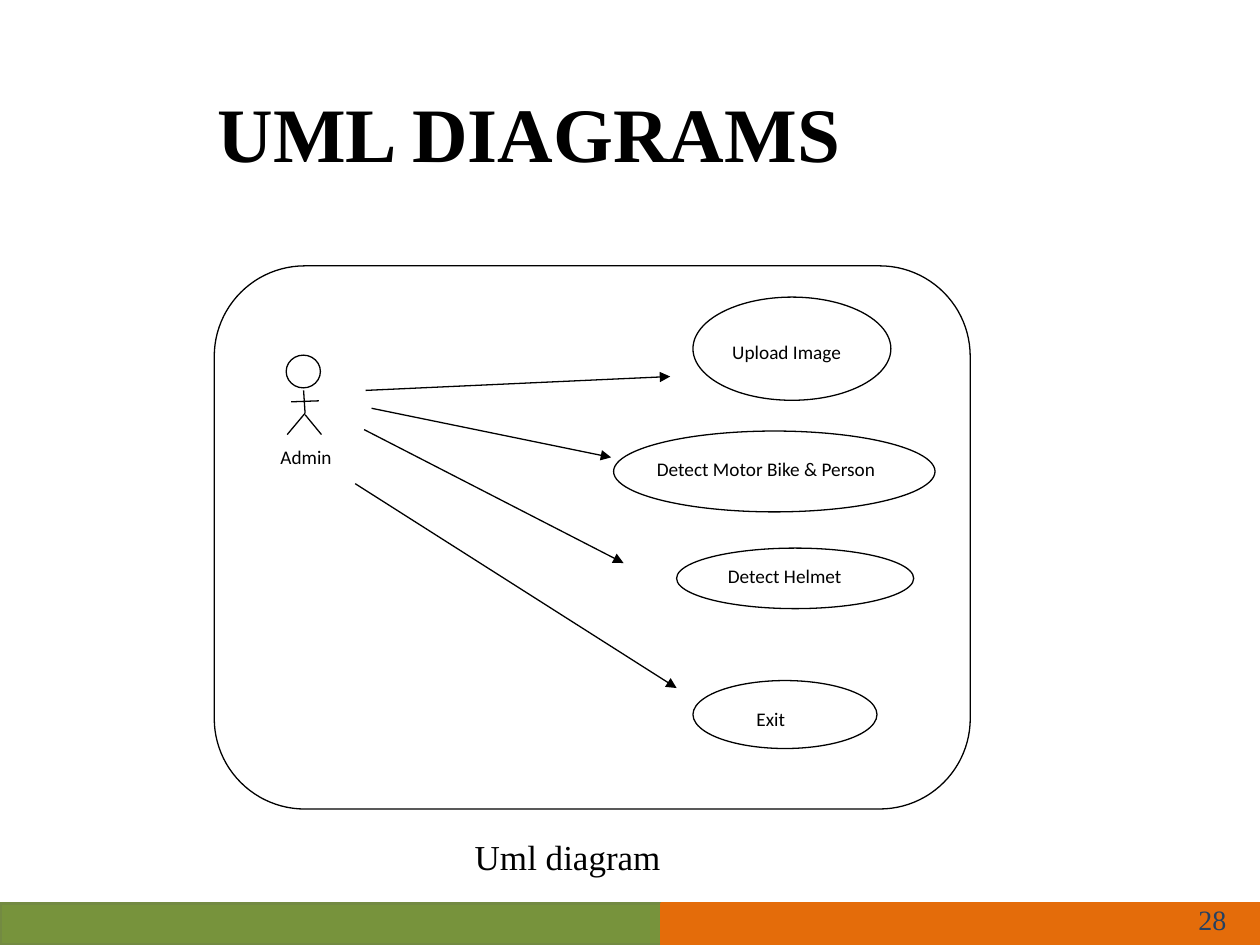
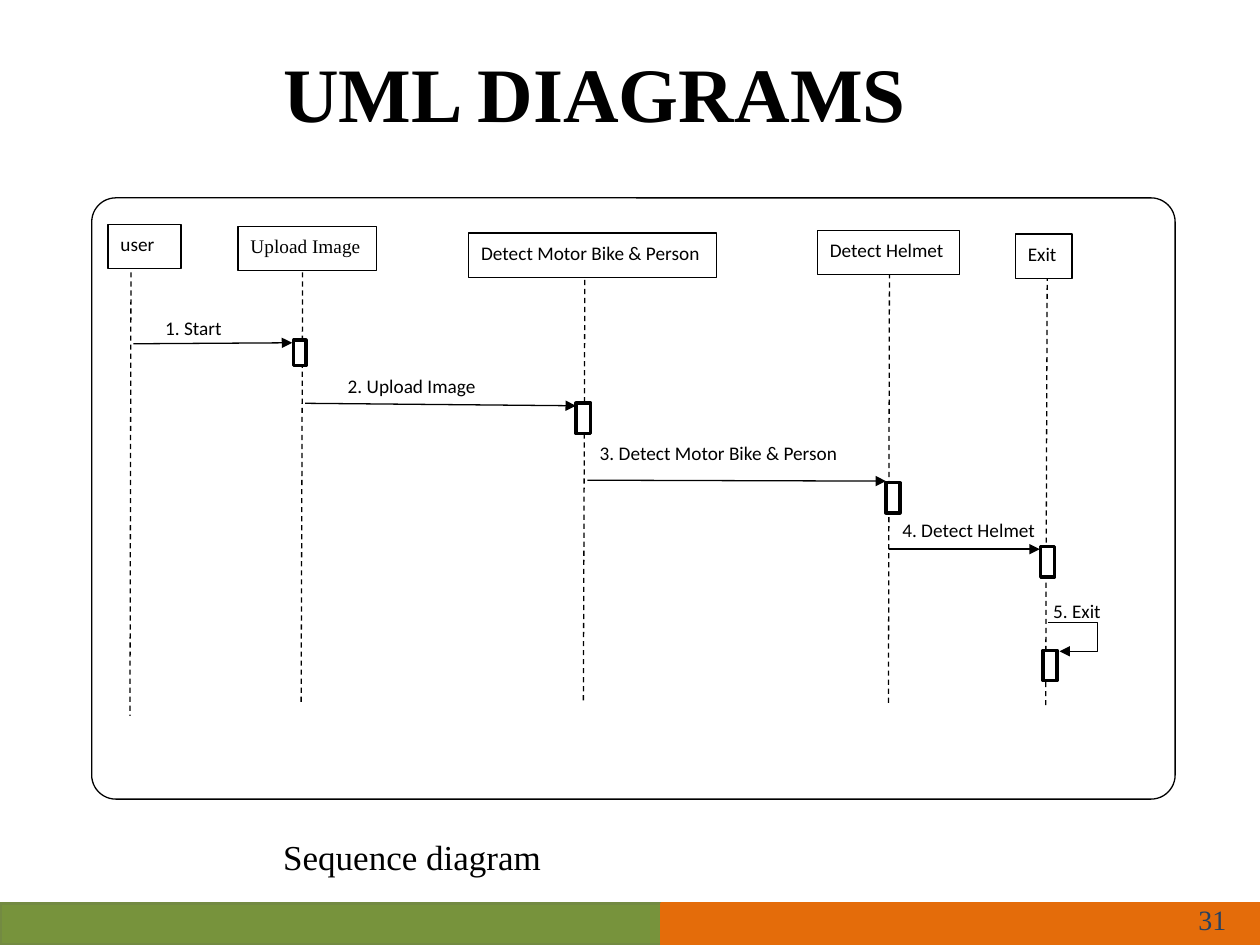
from typing import NamedTuple

from lxml.etree import SubElement
from pptx import Presentation
from pptx.dml.color import RGBColor
from pptx.enum.dml import MSO_LINE as Dash
from pptx.enum.shapes import MSO_CONNECTOR as Link, MSO_SHAPE as Form
from pptx.enum.text import MSO_ANCHOR as Anchor, PP_ALIGN as Align
from pptx.oxml.ns import qn
from pptx.shapes.autoshape import Shape
from pptx.shapes.connector import Connector
from pptx.slide import Slide
from pptx.util import Cm, Pt

BLACK = RGBColor(0x00, 0x00, 0x00)
WHITE = RGBColor(0xFF, 0xFF, 0xFF)
GREEN = RGBColor(0x77, 0x93, 0x3C)
GREEN_EDGE = RGBColor(0x73, 0x8A, 0x42)
ORANGE = RGBColor(0xE4, 0x6C, 0x0A)
NAVY = RGBColor(0x25, 0x40, 0x61)
SERIF = "Times New Roman"
SANS = "Calibri"
THIN = 0.75
THICK = 2


class Area(NamedTuple):
    left: float
    top: float
    width: float
    height: float


class Route(NamedTuple):
    x1: float
    y1: float
    x2: float
    y2: float


class Style(NamedTuple):
    size: float
    font: str = SERIF
    color: RGBColor = BLACK
    bold: bool = False
    align: Align = Align.LEFT


class UseCase(NamedTuple):
    name: str
    oval: Area
    label: Area
    arrow: Route


class Participant(NamedTuple):
    name: str
    left: float
    top: float
    width: float
    lifeline: Route
    font: str = SANS


class Message(NamedTuple):
    text: str
    label: Area
    arrow: Route
    activation: Area
    link: Link = Link.STRAIGHT


TITLE = Style(44, bold=True)
CAPTION = Style(20)
NUMBER = Style(16, color=NAVY, align=Align.RIGHT)
LABEL = Style(11, SANS)
CENTERED = LABEL._replace(align=Align.CENTER)

HEAD_HEIGHT = 0.89
SELF_CALL_BEND = 434000

USE_CASES = [
    UseCase("Upload Image", Area(13.97, 5.99, 3.99, 2.08),
            Area(14.35, 6.86, 3.02, 0.81), Route(7.37, 7.87, 13.51, 7.59)),
    UseCase("Detect Motor Bike & Person", Area(12.37, 8.69, 6.48, 1.63),
            Area(12.88, 9.22, 5.13, 0.81), Route(7.49, 8.23, 12.32, 9.22)),
    UseCase("Detect Helmet", Area(13.64, 11.05, 4.78, 1.22),
            Area(13.84, 11.38, 3.96, 0.48), Route(7.34, 8.66, 12.57, 11.35)),
    UseCase("Exit", Area(13.97, 13.72, 3.71, 1.37),
            Area(14.88, 14.25, 1.32, 0.81), Route(7.16, 9.75, 13.64, 13.87)),
]

ACTOR_LIMBS = [
    Route(6.12, 7.87, 6.15, 8.33),
    Route(6.15, 8.33, 5.79, 8.76),
    Route(6.15, 8.36, 6.48, 8.76),
    Route(5.87, 8.10, 6.43, 8.08),
]

PARTICIPANTS = [
    Participant("user", 2.18, 4.52, 1.47, Route(2.64, 5.49, 2.62, 14.43)),
    Participant("Upload Image", 4.80, 4.57, 2.79,
                Route(6.10, 5.49, 6.07, 14.17), SERIF),
    Participant("Detect Motor Bike & Person", 9.45, 4.70, 5.00,
                Route(11.79, 5.46, 11.76, 14.15)),
    Participant("Detect Helmet", 16.48, 4.65, 2.87,
                Route(17.93, 5.51, 17.91, 14.20)),
    Participant("Exit", 20.47, 4.72, 1.14, Route(21.11, 5.56, 21.08, 14.27)),
]

MESSAGES = [
    Message("1. Start", Area(3.33, 6.38, 2.54, 0.56),
            Route(2.69, 6.93, 5.89, 6.91), Area(5.92, 6.86, 0.25, 0.51)),
    Message("2. Upload Image", Area(7.01, 7.54, 2.90, 0.64),
            Route(6.15, 8.13, 11.61, 8.18), Area(11.61, 8.13, 0.30, 0.61)),
    Message("3. Detect Motor Bike & Person", Area(12.09, 8.89, 4.85, 0.66),
            Route(11.84, 9.68, 17.86, 9.70), Area(17.86, 9.73, 0.28, 0.61)),
    Message("4. Detect Helmet", Area(18.19, 10.44, 2.84, 0.64),
            Route(17.93, 11.07, 20.96, 11.07), Area(20.98, 11.02, 0.28, 0.61)),
    Message("5. Exit", Area(21.23, 12.09, 1.27, 0.58),
            Route(21.13, 12.55, 21.36, 13.13), Area(21.03, 13.11, 0.28, 0.61),
            Link.ELBOW),
]


def write(box: Shape, text: str, style: Style) -> None:
    box.text_frame.word_wrap = True
    para = box.text_frame.paragraphs[0]
    para.alignment = style.align
    span = para.add_run()
    span.text = text
    span.font.size = Pt(style.size)
    span.font.name = style.font
    span.font.bold = style.bold
    span.font.color.rgb = style.color


def add_text(page: Slide, area: Area, text: str, style: Style,
             inset: bool = True) -> Shape:
    box = page.shapes.add_textbox(*map(Cm, area))
    frame = box.text_frame
    if not inset:
        frame.margin_left = frame.margin_right = Cm(0)
        frame.margin_top = frame.margin_bottom = Cm(0)
    write(box, text, style)
    return box


def add_form(page: Slide, form: Form, area: Area, fill: RGBColor | None = None,
             edge: RGBColor = BLACK, weight: float = THIN) -> Shape:
    shape = page.shapes.add_shape(form, *map(Cm, area))
    shape.shadow.inherit = False
    if fill is None:
        shape.fill.background()
    else:
        shape.fill.solid()
        shape.fill.fore_color.rgb = fill
    shape.line.color.rgb = edge
    shape.line.width = Pt(weight)
    return shape


def add_line(page: Slide, route: Route, link: Link = Link.STRAIGHT) -> Connector:
    line = page.shapes.add_connector(link, *map(Cm, route))
    line.line.color.rgb = BLACK
    line.line.width = Pt(THIN)
    SubElement(line._element.spPr, qn("a:effectLst"))
    return line


def add_arrow(page: Slide, route: Route, link: Link = Link.STRAIGHT) -> None:
    arrow = add_line(page, route, link)
    SubElement(arrow.line._get_or_add_ln(), qn("a:tailEnd"), type="triangle")
    if link == Link.ELBOW:
        guides = arrow._element.spPr.find(qn("a:prstGeom")).find(qn("a:avLst"))
        SubElement(guides, qn("a:gd"), name="adj1", fmla=f"val {SELF_CALL_BEND}")


def add_page(deck: Presentation, number: str, title: Area, caption: Area,
             caption_text: str) -> Slide:
    page = deck.slides.add_slide(deck.slide_layouts[6])
    add_form(page, Form.RECTANGLE, Area(0, 18.21, 13.34, 0.84),
             GREEN, GREEN_EDGE, THICK)
    add_form(page, Form.RECTANGLE, Area(13.34, 18.21, 12.06, 0.84),
             ORANGE, ORANGE, THICK)
    box = add_text(page, Area(19.05, 18.03, 5.92, 1.02), number, NUMBER)
    box.text_frame.vertical_anchor = Anchor.MIDDLE
    add_text(page, title, "UML DIAGRAMS", TITLE)
    add_text(page, caption, caption_text, CAPTION)
    return page


def add_use_cases(deck: Presentation) -> None:
    page = add_page(deck, "28", Area(4.14, 1.60, 20, 2.13),
                    Area(9.32, 16.71, 9.73, 1.88), "Uml diagram")
    add_form(page, Form.ROUNDED_RECTANGLE, Area(4.32, 5.36, 15.24, 10.95))
    add_form(page, Form.OVAL, Area(5.77, 7.16, 0.69, 0.66))
    for limb in ACTOR_LIMBS:
        add_line(page, limb)
    add_text(page, Area(5.51, 8.97, 1.32, 0.81), "Admin", CENTERED, inset=False)
    for case in USE_CASES:
        add_form(page, Form.OVAL, case.oval)
        add_text(page, case.label, case.name, CENTERED, inset=False)
        add_arrow(page, case.arrow)


def add_sequence(deck: Presentation) -> None:
    page = add_page(deck, "31", Area(5.46, 0.79, 14.48, 2.13),
                    Area(5.46, 16.71, 10.41, 1.88), "Sequence diagram")
    frame = add_form(page, Form.ROUNDED_RECTANGLE, Area(1.85, 3.99, 21.84, 12.12))
    frame.adjustments[0] = 0.04
    for person in PARTICIPANTS:
        add_line(page, person.lifeline).line.dash_style = Dash.DASH
        head = add_form(page, Form.RECTANGLE,
                        Area(person.left, person.top, person.width, HEAD_HEIGHT),
                        WHITE)
        head.text_frame.vertical_anchor = Anchor.TOP
        write(head, person.name, LABEL._replace(font=person.font))
        para = head.text_frame.paragraphs[0]
        para.line_spacing = 1.07
        para.space_after = Pt(8)
    for message in MESSAGES:
        add_form(page, Form.RECTANGLE, message.activation, WHITE, weight=THICK)
        add_arrow(page, message.arrow, message.link)
        add_text(page, message.label, message.text, LABEL, inset=False)


def main() -> None:
    deck = Presentation()
    deck.slide_width = Cm(25.4)
    deck.slide_height = Cm(19.05)
    add_use_cases(deck)
    add_sequence(deck)
    deck.save("out.pptx")


if __name__ == "__main__":
    main()
